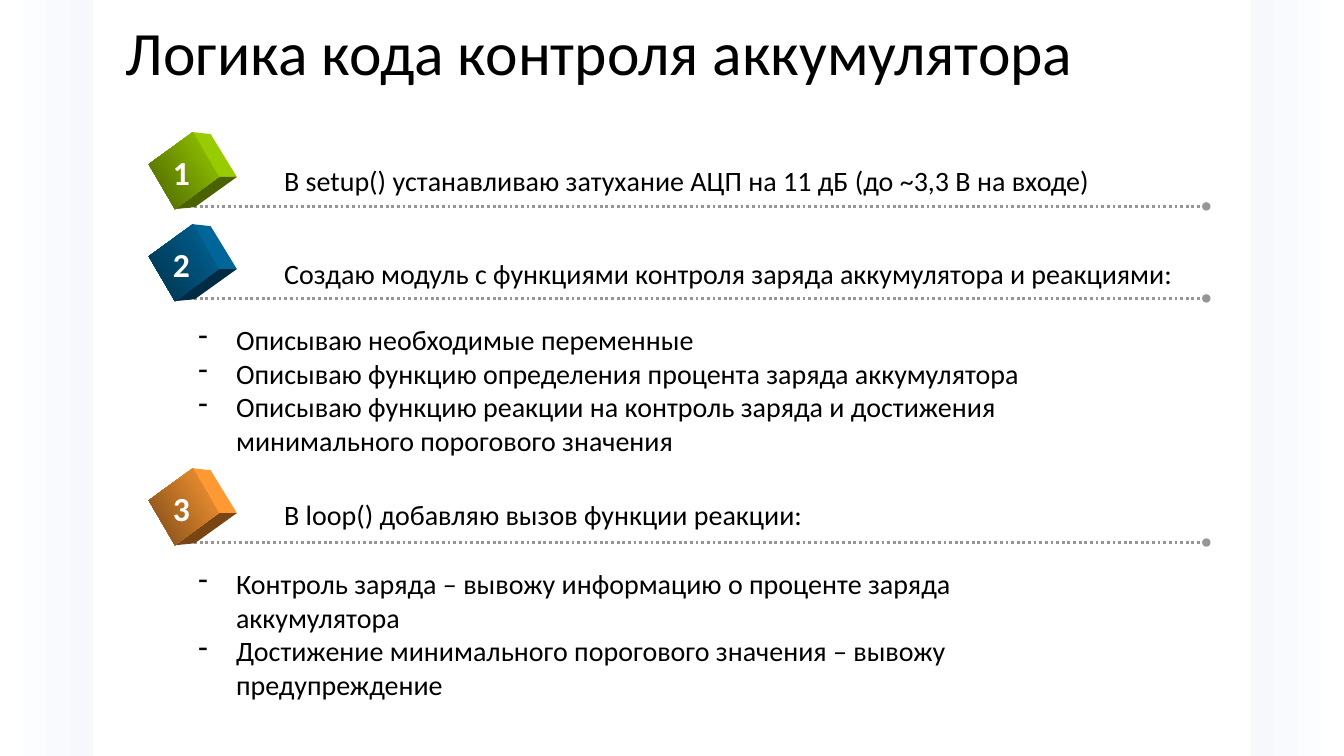
from lxml import etree
from pptx import Presentation
from pptx.dml.color import RGBColor
from pptx.enum import dml, shapes, text
from pptx.oxml import ns
from pptx.util import Cm, Pt

FONT = "Calibri"
COLORS = {
    "text": "000000",
    "number": "FFFFFF",
    "line": "969696",
    "strip": "F6F8FC",
    "background": "FFFFFF",
}

# Cube faces, in hundredths of a centimetre from the cube's top left corner
FRONT_FACE = [(0, 81), (111, 0), (176, 113), (66, 194)]
SIDE_FACE = [(111, 0), (156, 5), (222, 113), (176, 113)]
BOTTOM_FACE = [(176, 113), (222, 113), (116, 189), (66, 194)]
CUBE_LEFT = 3.75

# Each step: number, cube top, heading top, cube colours (light, dark, bottom), heading
STEPS = [
    ("1", 3.33, 3.99, ("99CC00", "4A6300", "4A6300"),
     "В setup() устанавливаю затухание АЦП на 11 дБ (до ~3,3 В на входе)"),
    ("2", 5.65, 6.35, ("006699", "00314A", "002B45"),
     "Создаю модуль с функциями контроля заряда аккумулятора и реакциями:"),
    ("3", 11.8, 12.42, ("FF9933", "7A4A18", "7A4515"),
     "В loop() добавляю вызов функции реакции:"),
]

# Each list: top, items
DETAILS = [
    (8, ["Описываю необходимые переменные",
         "Описываю функцию определения процента заряда аккумулятора",
         "Описываю функцию реакции на контроль заряда и достижения "
         "минимального порогового значения"]),
    (14.15, ["Контроль заряда – вывожу информацию о проценте заряда аккумулятора",
             "Достижение минимального порогового значения – вывожу предупреждение"]),
]


def rgb(value):
    return RGBColor.from_string(value)


def set_gradient(shape, first, last, angle):
    shape.fill.gradient()
    shape.fill.gradient_angle = angle
    for stop, color in zip(shape.fill.gradient_stops, (first, last)):
        stop.color.rgb = rgb(color)


def format_paragraph(paragraph, size, color="text", bold=False):
    font = paragraph.font
    font.name, font.size, font.bold = FONT, Pt(size), bold
    font.color.rgb = rgb(COLORS[color])


def add_strip(slide, left, angle):
    strip = slide.shapes.add_shape(
        shapes.MSO_SHAPE.RECTANGLE, Cm(left), 0, Cm(2.34), Cm(19.05))
    strip.shadow.inherit = False
    strip.line.fill.background()
    set_gradient(strip, COLORS["strip"], COLORS["background"], angle)


def add_title(slide, title_text):
    title = slide.shapes.title
    title.left, title.top, title.width, title.height = Cm(2.92), Cm(0.33), Cm(28.6), Cm(2.13)
    title.text = title_text
    title.text_frame.vertical_anchor = text.MSO_ANCHOR.MIDDLE
    paragraph = title.text_frame.paragraphs[0]
    paragraph.alignment = text.PP_ALIGN.LEFT
    paragraph.line_spacing = 0.9
    format_paragraph(paragraph, 44)


def add_text(slide, left, top, width, height, lines, size=20, wrap=True, **style):
    box = slide.shapes.add_textbox(Cm(left), Cm(top), Cm(width), Cm(height))
    box.text_frame.word_wrap = wrap
    box.text_frame.text = "\n".join(lines)
    for paragraph in box.text_frame.paragraphs:
        format_paragraph(paragraph, size, **style)
    return box


def add_dash_list(slide, top, items):
    box = add_text(slide, 4.75, top, 23.29, 3.68, items)
    for paragraph in box.text_frame.paragraphs:
        properties = paragraph._p.get_or_add_pPr()
        properties.set("marL", str(Cm(0.95)))
        properties.set("indent", str(Cm(-0.95)))
        bullet = etree.Element(ns.qn("a:buChar"), char="-")
        properties.insert_element_before(bullet, "a:tabLst", "a:defRPr", "a:extLst")


def add_dotted_line(slide, top):
    connector = slide.shapes.add_connector(
        shapes.MSO_CONNECTOR.STRAIGHT, Cm(4.75), Cm(top), Cm(30.4), Cm(top))
    line = connector.line
    line.color.rgb = rgb(COLORS["line"])
    line.width = Pt(2)
    line.dash_style = dml.MSO_LINE.ROUND_DOT
    etree.SubElement(line._get_or_add_ln(), ns.qn("a:tailEnd"), type="oval")
    etree.SubElement(connector._element.spPr, ns.qn("a:effectLst"))


def add_face(slide, top, points):
    builder = slide.shapes.build_freeform(*points[0], scale=Cm(1) / 100)
    builder.add_line_segments(points[1:])
    face = builder.convert_to_shape(Cm(CUBE_LEFT), Cm(top))
    face.shadow.inherit = False
    face.line.fill.background()
    return face


def add_cube(slide, top, light, dark, bottom):
    for points, color in ((SIDE_FACE, light), (BOTTOM_FACE, bottom)):
        face = add_face(slide, top, points)
        face.fill.solid()
        face.fill.fore_color.rgb = rgb(color)
    set_gradient(add_face(slide, top, FRONT_FACE), light, dark, 213)


def add_step(slide, number, top, heading_top, cube_colors, heading):
    add_dotted_line(slide, top + 1.87)
    add_cube(slide, top, *cube_colors)
    add_text(slide, 4.11, top + 0.38, 0.99, 1.27, [number],
             size=24, wrap=False, color="number", bold=True)
    add_text(slide, 6.91, heading_top, 23.29, 1.12, [heading])


def main():
    presentation = Presentation()
    presentation.slide_width, presentation.slide_height = Cm(33.87), Cm(19.05)
    slide = presentation.slides.add_slide(presentation.slide_layouts[5])

    # Side strips fading towards the edges
    add_strip(slide, 0, 180)
    add_strip(slide, 31.53, 0)

    # Title, numbered steps and their details
    add_title(slide, "Логика кода контроля аккумулятора")
    for step in STEPS:
        add_step(slide, *step)
    for top, items in DETAILS:
        add_dash_list(slide, top, items)

    presentation.save("out.pptx")


if __name__ == "__main__":
    main()
